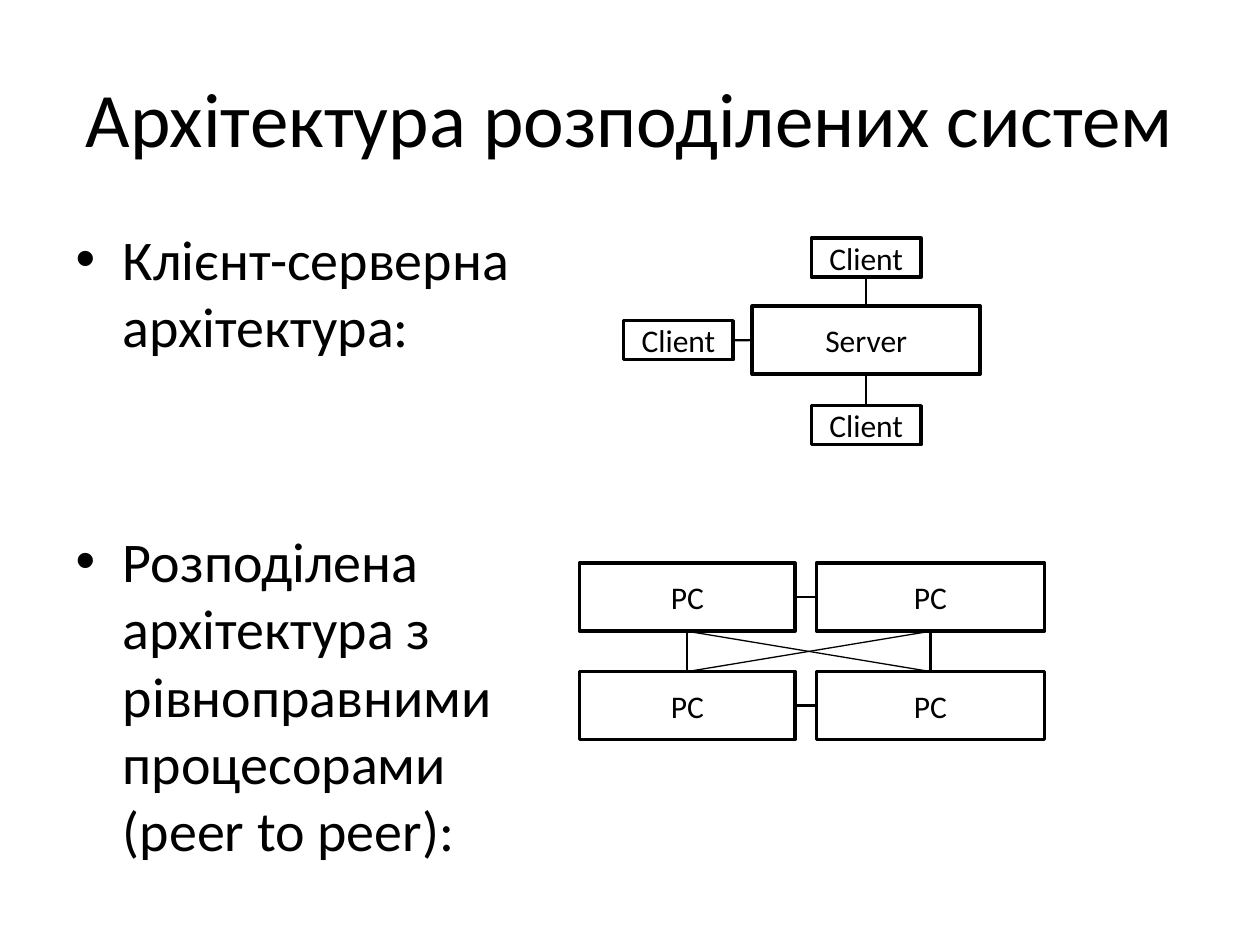
from pptx import Presentation
from pptx.dml.color import RGBColor
from pptx.enum.shapes import MSO_CONNECTOR, MSO_SHAPE
from pptx.enum.text import MSO_ANCHOR, MSO_AUTO_SIZE, PP_ALIGN
from pptx.oxml.ns import qn
from pptx.util import Inches, Pt
from lxml.etree import SubElement

FONT = "Calibri"
INK = "000000"
PAPER = "FFFFFF"
TOP, LEFT, BOTTOM, RIGHT = range(4)


def color(code):
    return RGBColor.from_string(code)


def style(para, size):
    for run in para.runs:
        run.font.name = FONT
        run.font.size = Pt(size)
        run.font.color.rgb = color(INK)


def place(shape, x, y, w, h):
    shape.left, shape.top = Inches(x), Inches(y)
    shape.width, shape.height = Inches(w), Inches(h)


def add_node(group, label, x, y, w, h):
    node = group.shapes.add_shape(
        MSO_SHAPE.RECTANGLE, Inches(x), Inches(y), Inches(w), Inches(h))
    node.shadow.inherit = False
    node.fill.solid()
    node.fill.fore_color.rgb = color(PAPER)
    node.line.color.rgb = color(INK)
    node.line.width = Pt(2)
    frame = node.text_frame
    frame.text = label
    frame.vertical_anchor = MSO_ANCHOR.MIDDLE
    frame.paragraphs[0].alignment = PP_ALIGN.CENTER
    style(frame.paragraphs[0], 18)
    return node


def link(group, start, side, end, other, width=1.25):
    """Join a side of one node to a side of another."""
    line = group.shapes.add_connector(MSO_CONNECTOR.STRAIGHT, start.left, start.top, end.left, end.top)
    line.begin_connect(start, side)
    line.end_connect(end, other)
    line.line.color.rgb = color(INK)
    line.line.width = Pt(width)
    SubElement(line._element.spPr, qn("a:effectLst"))


def add_title(slide, text, x, y, w, h):
    title = slide.shapes.title
    place(title, x, y, w, h)
    frame = title.text_frame
    frame.text = text
    frame.auto_size = MSO_AUTO_SIZE.NONE
    frame.vertical_anchor = MSO_ANCHOR.MIDDLE
    frame.paragraphs[0].alignment = PP_ALIGN.CENTER
    style(frame.paragraphs[0], 44)


def add_list(slide, items, gap, x, y, w, h):
    body = slide.placeholders[1]
    place(body, x, y, w, h)
    frame = body.text_frame
    frame.text = "\n".join(items)
    frame.auto_size = MSO_AUTO_SIZE.NONE
    for para in frame.paragraphs:
        style(para, 32)
    for para in frame.paragraphs[1:]:
        para.space_before = Pt(gap)


def add_star(slide, x, y, w, h):
    """Draw a server with clients above, to the left and below."""
    group = slide.shapes.add_group_shape()
    wide, high = 1.81, 0.54
    small, low = 0.87, 0.31
    left = x + w - wide
    top = y + 0.54
    mid = left + (wide - small) / 2
    server = add_node(group, "Server", left, top, wide, high)
    spots = [
        (x, top + (high - low) / 2, RIGHT, LEFT),
        (mid, y, BOTTOM, TOP),
        (mid, y + h - low, TOP, BOTTOM),
    ]
    for cx, cy, side, other in spots:
        client = add_node(group, "Client", cx, cy, small, low)
        link(group, client, side, server, other)


def add_mesh(slide, x, y, w, h):
    """Draw two rows of two peers, each joined to all the others."""
    group = slide.shapes.add_group_shape()
    high = 0.54
    cols = [(x, 1.71), (x + w - 1.81, 1.81)]
    rows = [y, y + h - high]
    upper, lower = [
        [add_node(group, "PC", left, top, wide, high) for left, wide in cols]
        for top in rows
    ]
    for first, last in (upper, lower):
        link(group, first, RIGHT, last, LEFT)
    for i in range(2):
        link(group, upper[i], BOTTOM, lower[i], TOP)
        link(group, upper[i], BOTTOM, lower[1 - i], TOP, 0.75)


def main():
    deck = Presentation()
    deck.slide_width, deck.slide_height = Inches(10), Inches(7.5)
    slide = deck.slides.add_slide(deck.slide_layouts[1])
    add_title(slide, "Архітектура розподілених систем", 0.5, 0.3, 9, 1.25)
    items = [
        "Клієнт-серверна архітектура:",
        "Розподілена архітектура з рівноправними процесорами (peer to peer):",
    ]
    add_list(slide, items, 96, 0.5, 1.73, 4.03, 4.97)
    add_star(slide, 4.95, 1.89, 2.83, 1.64)
    add_mesh(slide, 4.6, 4.47, 3.69, 1.4)
    deck.save("out.pptx")


if __name__ == "__main__":
    main()
